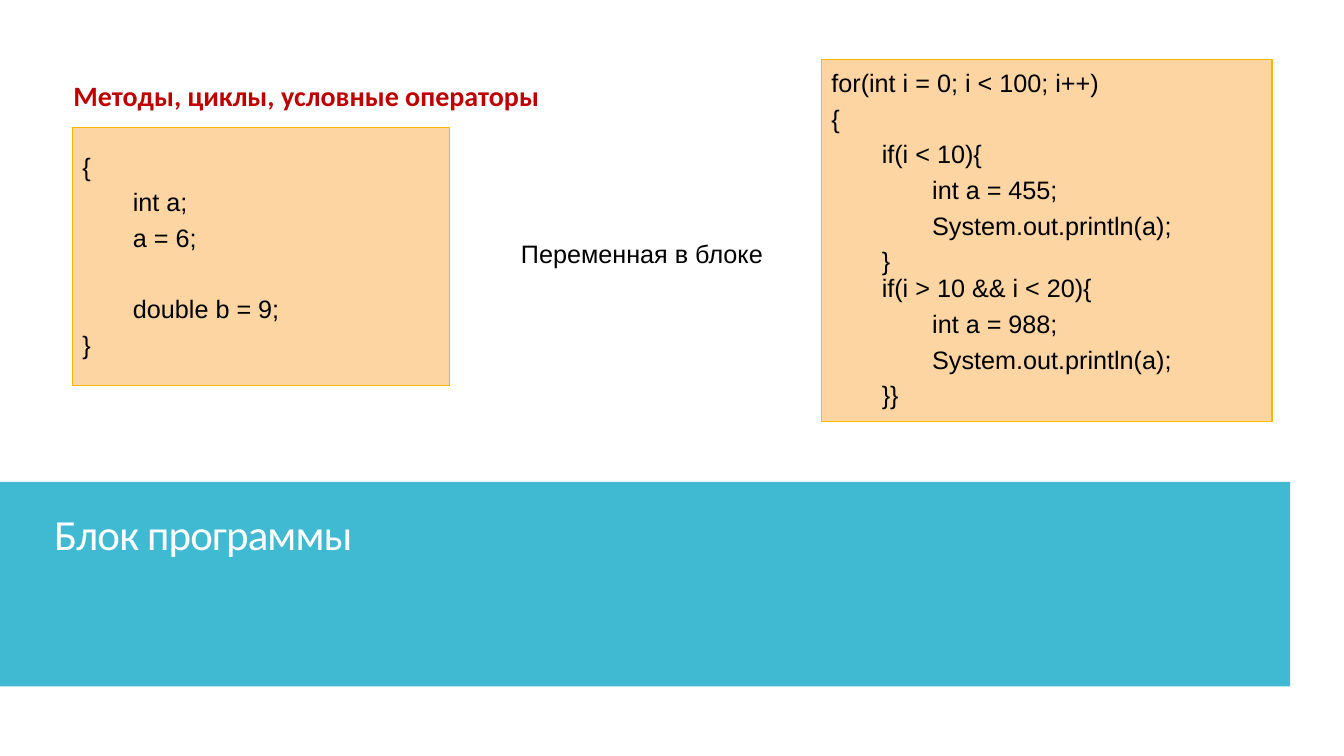
from pptx import Presentation
from pptx.dml.color import RGBColor
from pptx.enum import shapes, text
from pptx.util import Pt

# Content
TITLE = "Блок программы"
HEADING = "Методы, циклы, условные операторы"
CAPTION = "Переменная в блоке"

# Code lines: (indent level, text, space after in points)
GAP = 6
BLANK_LINE = 31.6
BLOCK_CODE = [
    (0, "{", GAP),
    (1, "int a;", GAP),
    (1, "a = 6;", BLANK_LINE),
    (1, "double b = 9;", GAP),
    (0, "}", GAP),
]
LOOP_CODE = [
    (0, "for(int i = 0; i < 100; i++)", GAP),
    (0, "{", GAP),
    (1, "if(i < 10){", GAP),
    (2, "int a = 455;", GAP),
    (2, "System.out.println(a);", GAP),
    (1, "}", 0),
    (1, "if(i > 10 && i < 20){", GAP),
    (2, "int a = 988;", GAP),
    (2, "System.out.println(a);", GAP),
    (1, "}}", GAP),
]

# Places in points: left, top, width, height
BAND_AT = (0, 344.16, 921.6, 146.16)
TITLE_AT = (31.68, 365.76, 561.6, 36)
HEADING_AT = (45.36, 52.56, 353.52, 31.68)
CAPTION_AT = (365.04, 167.04, 208.08, 28.8)
BLOCK_AT = (51.84, 91.44, 269.28, 184.32)
LOOP_AT = (586.8, 42.48, 321.84, 258.48)
INDENT = 36

TEAL, PEACH, AMBER = "40BAD2", "FCD5A2", "FAB900"
WHITE, BLACK, RED = "FFFFFF", "000000", "C00000"


def color(value):
    return RGBColor.from_string(value)


def add_rect(page, place, fill, line=None):
    box = page.shapes.add_shape(shapes.MSO_SHAPE.RECTANGLE, *map(Pt, place))
    box.shadow.inherit = False
    box.fill.solid()
    box.fill.fore_color.rgb = color(fill)
    if line:
        box.line.color.rgb = color(line)
        box.line.width = Pt(0.75)
    else:
        box.line.fill.background()
    return box


def write(para, words, size=18, font="Arial", ink=BLACK, bold=False,
          spacing=None, after=0, level=0, tracking=None):
    para.alignment = text.PP_ALIGN.LEFT
    para.space_after = Pt(after)
    if spacing:
        para.line_spacing = spacing
    if level:
        para._p.get_or_add_pPr().set("marL", str(Pt(level * INDENT)))
    span = para.add_run()
    span.text = words
    span.font.size = Pt(size)
    span.font.name = font
    span.font.bold = bold
    span.font.color.rgb = color(ink)
    if tracking:
        span._r.get_or_add_rPr().set("spc", str(round(tracking * 100)))


def add_label(page, place, words, anchor=text.MSO_ANCHOR.TOP, **style):
    frame = page.shapes.add_textbox(*map(Pt, place)).text_frame
    frame.word_wrap = True
    frame.vertical_anchor = anchor
    write(frame.paragraphs[0], words, **style)


def add_code(page, place, lines):
    frame = add_rect(page, place, PEACH, AMBER).text_frame
    frame.word_wrap = True
    frame.vertical_anchor = text.MSO_ANCHOR.MIDDLE
    for number, (level, words, after) in enumerate(lines):
        para = frame.add_paragraph() if number else frame.paragraphs[0]
        write(para, words, spacing=0.9, after=after, level=level)


def main():
    deck = Presentation()
    deck.slide_width, deck.slide_height = Pt(960), Pt(540)
    page = deck.slides.add_slide(deck.slide_layouts[6])

    # Title band
    add_rect(page, BAND_AT, TEAL)
    add_label(page, TITLE_AT, TITLE, anchor=text.MSO_ANCHOR.BOTTOM, size=30.6,
              font="Calibri", ink=WHITE, spacing=0.7, tracking=-0.6)

    # Code examples and their labels
    add_code(page, BLOCK_AT, BLOCK_CODE)
    add_label(page, HEADING_AT, HEADING, size=20, font="Calibri", ink=RED, bold=True)
    add_label(page, CAPTION_AT, CAPTION)
    add_code(page, LOOP_AT, LOOP_CODE)

    deck.save("out.pptx")


if __name__ == "__main__":
    main()
